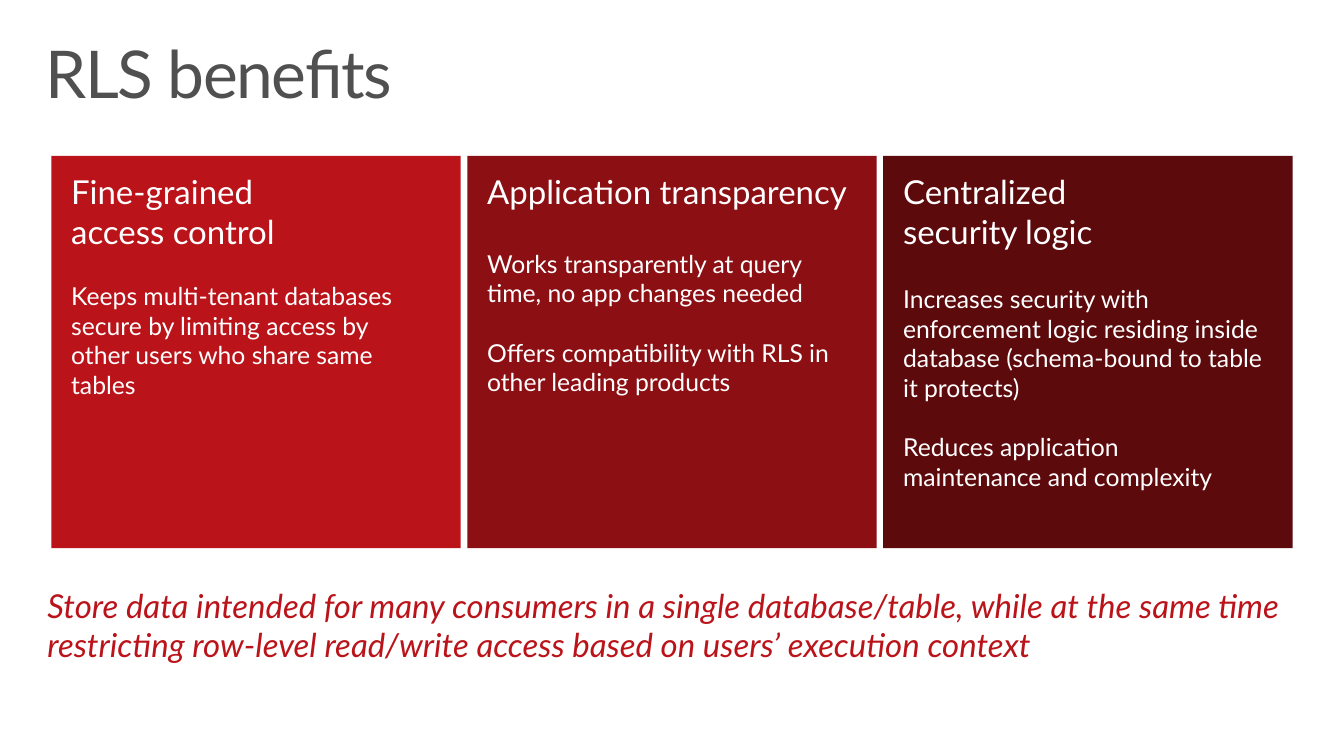
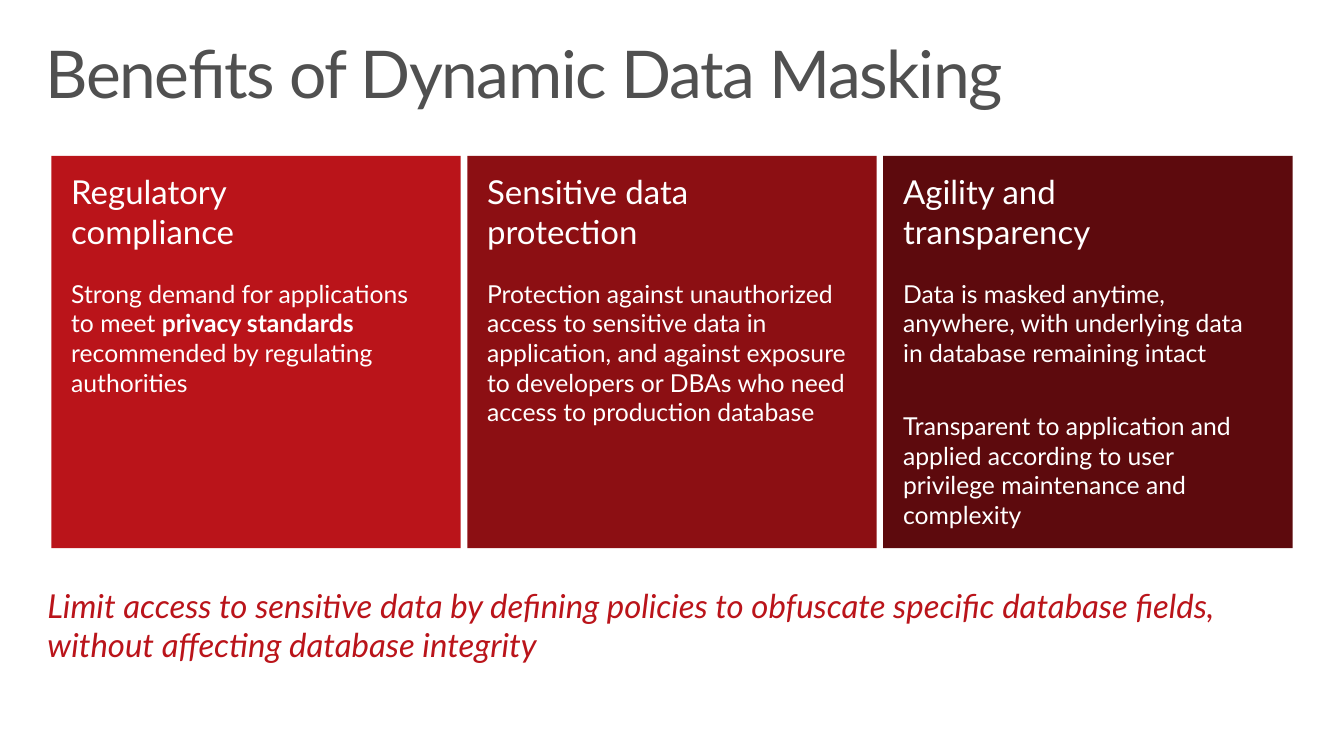
"""Build two benefit slides, each with three panels and a summary."""
from pptx import Presentation
from pptx.dml.color import RGBColor as RGB
from pptx.enum.shapes import MSO_SHAPE as Kind
from pptx.enum.text import MSO_ANCHOR as Anchor, PP_ALIGN as Align
from pptx.util import Cm, Pt

FONT = "Lato"
WHITE = RGB(0xFF, 0xFF, 0xFF)
GRAY = RGB(0x50, 0x50, 0x50)
RED = RGB(0xBA, 0x14, 0x1A)
DARK = RGB(0x8C, 0x0F, 0x13)
DEEP = RGB(0x5D, 0x0A, 0x0D)
FILLS = (RED, DARK, DEEP)
LEFT, TOP, WIDE, HIGH, STEP = 1.32, 4.01, 10.52, 10.08, 10.69

DECK = [
    ("RLS benefits", [
        ("Fine-grained\naccess control", [
            (21.6, "Keeps multi-tenant databases secure by limiting access "
                   "by other users who share same tables")]),
        ("Application transparency", [
            (27, "Works transparently at query time, no app changes needed"),
            (21.6, "Offers compatibility with RLS in other leading products")]),
        ("Centralized\nsecurity logic", [
            (24, "Increases security with enforcement logic residing inside "
                 "database (schema-bound to table it protects)"),
            (21.6, "Reduces application maintenance and complexity")]),
    ], "Store data intended for many consumers in a single database/table, "
       "while at the same time restricting row-level read/write access "
       "based on users’ execution context"),
    ("Benefits of Dynamic Data Masking", [
        ("Regulatory\ncompliance", [
            (20, "Strong demand for applications to meet **privacy standards** "
                 "recommended by regulating authorities")]),
        ("Sensitive data\nprotection", [
            (20, "Protection against unauthorized access to sensitive data in "
                 "application, and against exposure to developers or DBAs who "
                 "need access to production database")]),
        ("Agility and\ntransparency", [
            (20, "Data is masked anytime, anywhere, with underlying data in "
                 "database remaining intact"),
            (31.6, "Transparent to application and applied according to user "
                   "privilege maintenance and complexity")]),
    ], "Limit access to sensitive data by defining policies to obfuscate "
       "specific database fields, without affecting database integrity"),
]


def set_frame(frame, left, top, right):
    """Wrap a text frame, anchor it at the top and set its insets."""
    frame.word_wrap = True
    frame.vertical_anchor = Anchor.TOP
    frame.margin_left, frame.margin_right = Cm(left), Cm(right)
    frame.margin_top = frame.margin_bottom = Cm(top)


def style(para, size, color):
    """Set the look of every run in a paragraph."""
    para.alignment = Align.LEFT
    for run in para.runs:
        run.font.name = FONT
        run.font.size = Pt(size)
        run.font.color.rgb = color


def add_text(slide, text, box, insets, size, color):
    """Add a text box with one paragraph and return the paragraph."""
    frame = slide.shapes.add_textbox(*map(Cm, box)).text_frame
    set_frame(frame, *insets)
    frame.text = text
    para = frame.paragraphs[0]
    style(para, size, color)
    return para


def add_title(slide, text):
    """Add the slide title with tight letter spacing."""
    para = add_text(slide, text, (0.76, 0.81, 33.02, 2.54),
                    (0.41, 0.25, 0.41), 48, GRAY)
    para.line_spacing = 0.9
    para.runs[0].font._element.set("spc", "-100")


def add_note(slide, text):
    """Add the italic summary below the panels."""
    para = add_text(slide, text, (0.71, 14.63, 33.76, 2.9),
                    (0.51, 0.41, 0.51), 24, RED)
    para.runs[0].font.italic = True


def add_panel(slide, col, head, body):
    """Add one filled panel with a heading and spaced paragraphs."""
    shape = slide.shapes.add_shape(Kind.RECTANGLE, Cm(LEFT + col * STEP),
                                   Cm(TOP), Cm(WIDE), Cm(HIGH))
    shape.shadow.inherit = False
    shape.fill.solid()
    shape.fill.fore_color.rgb = FILLS[col]
    shape.line.fill.background()
    frame = shape.text_frame
    set_frame(frame, 0.51, 0.41, 0.76)
    frame.paragraphs[0].text = head
    style(frame.paragraphs[0], 24, WHITE)
    for gap, text in body:
        para = frame.add_paragraph()
        para.space_before = Pt(gap)
        for i, part in enumerate(text.split("**")):
            run = para.add_run()
            run.text = part
            run.font.bold = i % 2 == 1
        style(para, 18, WHITE)


def main():
    """Build and save the deck."""
    deck = Presentation()
    deck.slide_width, deck.slide_height = Cm(34.54), Cm(19.43)
    for title, panels, note in DECK:
        slide = deck.slides.add_slide(deck.slide_layouts[6])
        add_note(slide, note)
        add_title(slide, title)
        for col, (head, body) in enumerate(panels):
            add_panel(slide, col, head, body)
    deck.save("out.pptx")


if __name__ == "__main__":
    main()
